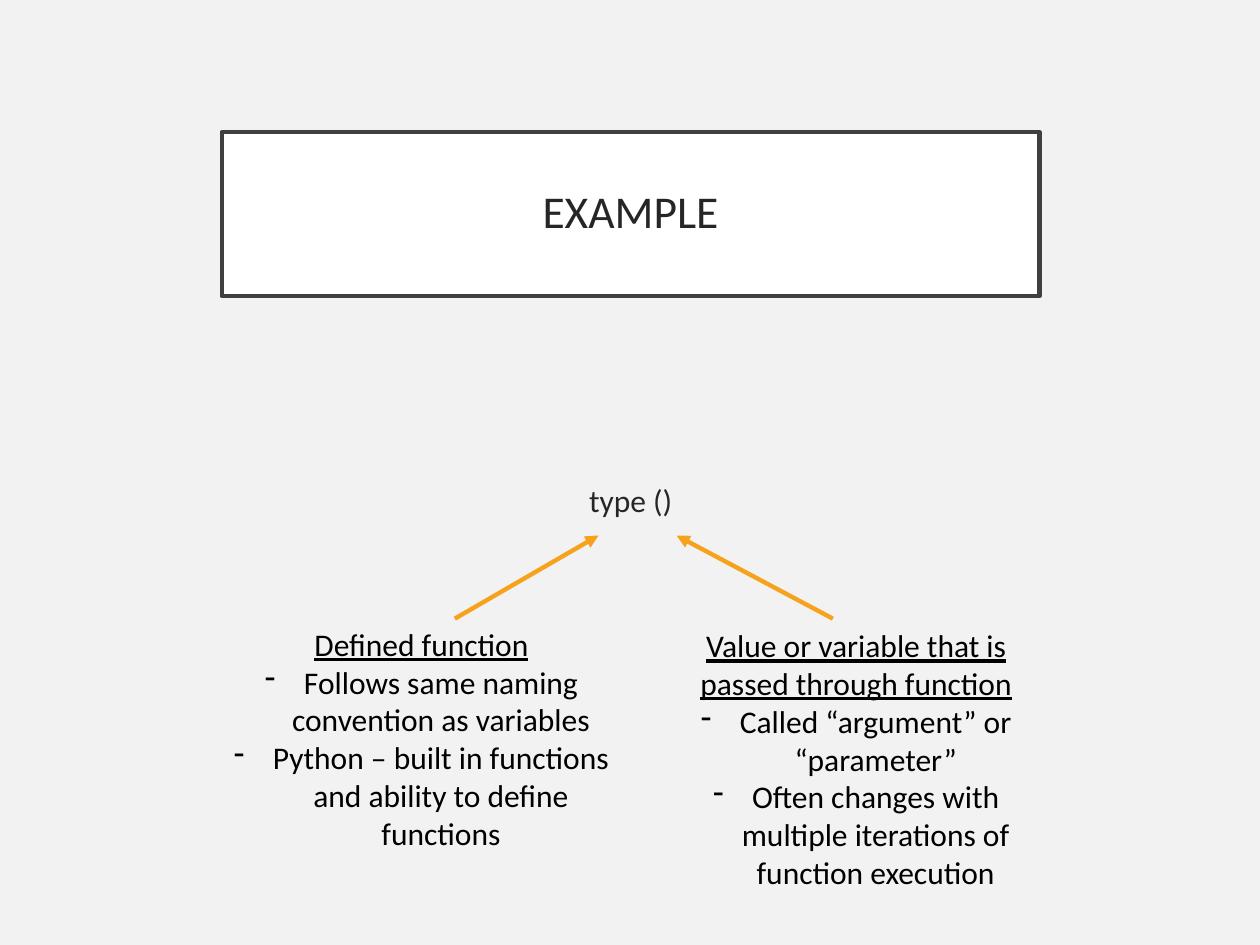
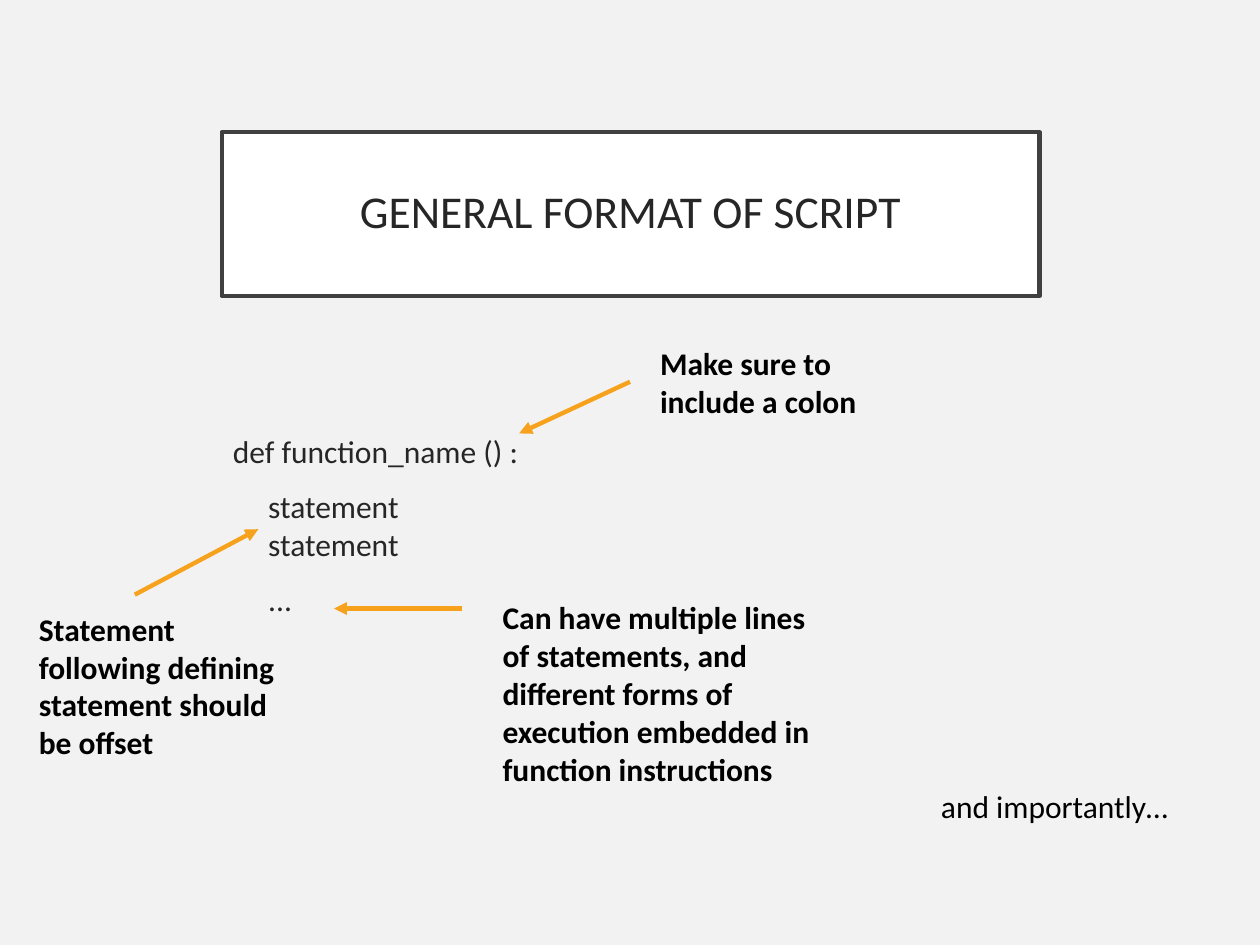
from dataclasses import dataclass
from typing import Any, NamedTuple

from lxml.etree import SubElement
from pptx import Presentation
from pptx.dml.color import RGBColor as Rgb
from pptx.enum.shapes import MSO_CONNECTOR as Connector, MSO_SHAPE as Preset
from pptx.enum.text import MSO_ANCHOR as Anchor, MSO_AUTO_SIZE as AutoSize, PP_ALIGN as Align
from pptx.oxml.ns import qn
from pptx.util import Inches, Length, Pt


@dataclass(frozen=True)
class Theme:
    font: str = "Calibri"
    paper: Rgb = Rgb.from_string("F2F2F2")
    panel: Rgb = Rgb.from_string("FFFFFF")
    border: Rgb = Rgb.from_string("404040")
    body_ink: Rgb = Rgb.from_string("262626")
    note_ink: Rgb = Rgb.from_string("000000")
    accent: Rgb = Rgb.from_string("F6A21D")
    title_size: Length = Pt(26)
    text_size: Length = Pt(18)
    stroke: Length = Pt(2.5)
    body_gap: Length = Pt(10)


THEME = Theme()
WIDTH, HEIGHT = Inches(10), Inches(7.5)
COLUMNS, ROWS = 100, 75
BULLET_INDENT, CODE_INDENT = 3.1, 2.8


def across(columns: float) -> Length:
    return Length(round(WIDTH * columns / COLUMNS))


def down(rows: float) -> Length:
    return Length(round(HEIGHT * rows / ROWS))


class Area(NamedTuple):
    """A rectangle in grid columns and rows."""
    left: float
    top: float
    width: float
    height: float

    def lengths(self) -> tuple[Length, ...]:
        return across(self.left), down(self.top), across(self.width), down(self.height)


class Line(NamedTuple):
    text: str
    bold: bool = False
    underline: bool = False
    bullet: bool = False
    indent: float = 0


class Block(NamedTuple):
    area: Area
    lines: list[Line]
    align: Align = Align.LEFT
    is_body: bool = False


class Arrow(NamedTuple):
    """A line in grid units with its head at the end point."""
    start: tuple[float, float]
    end: tuple[float, float]


class Page(NamedTuple):
    title: str
    blocks: list[Block]
    arrows: list[Arrow]


TITLE_AREA = Area(17.6, 10.5, 64.9, 13)


def apply(target: Any, formats: dict[str, Any]) -> None:
    for name, value in formats.items():
        setattr(target, name, value)


def write(para: Any, line: Line, size: Length, ink: Rgb) -> None:
    para.text = line.text
    for span in para.runs:
        apply(span.font, {"name": THEME.font, "size": size,
                          "bold": line.bold, "underline": line.underline})
        span.font.color.rgb = ink


def indent(para: Any, line: Line) -> None:
    """Set the left margin, with a hanging dash for a bullet line."""
    props = para._p.get_or_add_pPr()
    props.set("marL", str(across(BULLET_INDENT if line.bullet else line.indent)))
    if line.bullet:
        props.set("indent", str(-across(BULLET_INDENT)))
        colour = SubElement(props, qn("a:buClr"))
        SubElement(colour, qn("a:srgbClr")).set("val", str(THEME.note_ink))
        SubElement(props, qn("a:buChar")).set("char", "-")


def add_title(slide: Any, title: str) -> None:
    box = slide.shapes.add_shape(Preset.RECTANGLE, *TITLE_AREA.lengths())
    box.shadow.inherit = False
    box.fill.solid()
    box.fill.fore_color.rgb = THEME.panel
    box.line.color.rgb = THEME.border
    box.line.width = THEME.stroke
    frame = box.text_frame
    sides = ("left", "top", "right", "bottom")
    apply(frame, {f"margin_{side}": Inches(0.2) for side in sides})
    apply(frame, {"word_wrap": True, "vertical_anchor": Anchor.MIDDLE})
    para = frame.paragraphs[0]
    apply(para, {"alignment": Align.CENTER, "line_spacing": 0.9})
    write(para, Line(title), THEME.title_size, THEME.body_ink)


def add_block(slide: Any, block: Block) -> None:
    frame = slide.shapes.add_textbox(*block.area.lengths()).text_frame
    fit = AutoSize.NONE if block.is_body else AutoSize.SHAPE_TO_FIT_TEXT
    apply(frame, {"word_wrap": True, "auto_size": fit})
    ink = THEME.body_ink if block.is_body else THEME.note_ink
    for index, line in enumerate(block.lines):
        para = frame.add_paragraph() if index else frame.paragraphs[0]
        gap = THEME.body_gap if block.is_body and index else Pt(0)
        apply(para, {"alignment": block.align, "space_before": gap})
        write(para, line, THEME.text_size, ink)
        indent(para, line)


def add_arrow(slide: Any, arrow: Arrow) -> None:
    (x1, y1), (x2, y2) = arrow
    link = slide.shapes.add_connector(
        Connector.STRAIGHT, across(x1), down(y1), across(x2), down(y2))
    link.line.color.rgb = THEME.accent
    link.line.width = THEME.stroke
    props = link._element.spPr
    SubElement(props.find(qn("a:ln")), qn("a:tailEnd")).set("type", "triangle")
    SubElement(props, qn("a:effectLst"))


def definition(area: Area, heading: str, *points: str) -> Block:
    """A centred note: an underlined heading over dashed points."""
    lines = [Line(heading, underline=True)]
    return Block(area, lines + [Line(point, bullet=True) for point in points], Align.CENTER)


def remark(area: Area, text: str, bold: bool = True) -> Block:
    return Block(area, [Line(text, bold=bold)])


PAGES = [
    Page(
        "EXAMPLE",
        [
            Block(Area(17.6, 37.7, 64.9, 25.1), [Line("type ()")], Align.CENTER, is_body=True),
            definition(Area(17.5, 49.1, 31.9, 19.2), "Defined function",
                       "Follows same naming convention as variables",
                       "Python – built in functions and ability to define functions"),
            definition(Area(52, 49.2, 31.9, 22.2),
                       "Value or variable that is passed through function",
                       "Called “argument” or “parameter”",
                       "Often changes with multiple iterations of function execution"),
        ],
        [Arrow((36.1, 49.1), (47.5, 42.5)), Arrow((66.1, 49.1), (53.7, 42.5))],
    ),
    Page(
        "GENERAL FORMAT OF SCRIPT",
        [
            Block(Area(17.5, 33.8, 64.9, 25.1),
                  [Line("def function_name () :"),
                   Line("statement\vstatement", indent=CODE_INDENT),
                   Line("...", indent=CODE_INDENT)], is_body=True),
            remark(Area(51.4, 26.8, 22.4, 7.1), "Make sure to include a colon"),
            remark(Area(38.9, 47, 27.5, 19.2),
                   "Can have multiple lines of statements, and different forms of "
                   "execution embedded in function instructions"),
            remark(Area(2.1, 47.9, 20.8, 16.2),
                   "Statement following defining statement should be offset"),
            remark(Area(73.7, 62, 23.3, 4), "and importantly…", bold=False),
        ],
        [Arrow((50, 30.3), (41.2, 34.4)), Arrow((36.7, 48.3), (26.5, 48.3)),
         Arrow((10.7, 47.2), (20.5, 42))],
    ),
]


def main() -> None:
    deck = Presentation()
    apply(deck, {"slide_width": WIDTH, "slide_height": HEIGHT})
    for page in PAGES:
        slide = deck.slides.add_slide(deck.slide_layouts[6])
        slide.background.fill.solid()
        slide.background.fill.fore_color.rgb = THEME.paper
        add_title(slide, page.title)
        for block in page.blocks:
            add_block(slide, block)
        for arrow in page.arrows:
            add_arrow(slide, arrow)
    deck.save("out.pptx")


if __name__ == "__main__":
    main()
